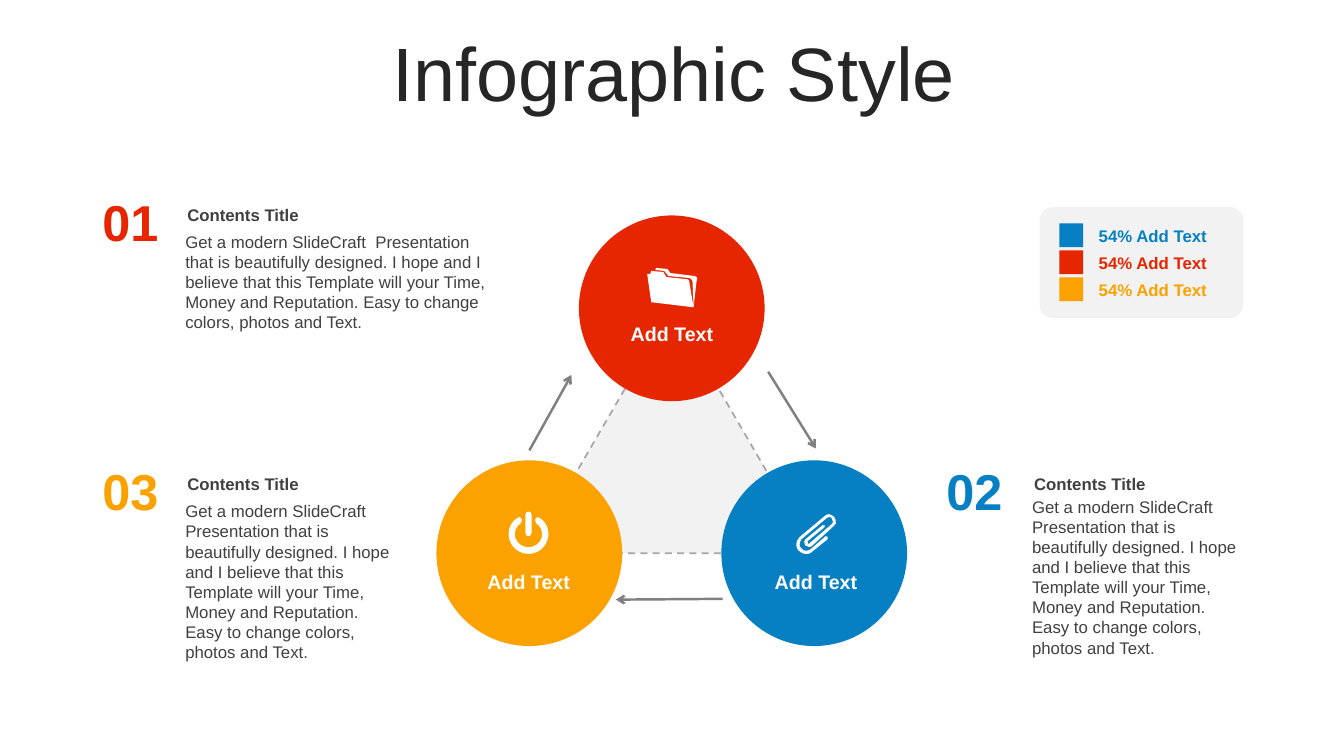
"""Build a slide with a three-part cycle, notes and a legend."""
from lxml.etree import Element, SubElement
from pptx import Presentation
from pptx.dml.color import RGBColor
from pptx.enum.dml import MSO_LINE_DASH_STYLE as Dash
from pptx.enum.shapes import MSO_CONNECTOR as Link, MSO_SHAPE as Kind
from pptx.enum.text import MSO_ANCHOR as Anchor, PP_ALIGN as Align
from pptx.oxml.ns import qn
from pptx.util import Cm, Pt

RED, BLUE, GOLD = "E62601", "0680C3", "FBA200"
WHITE, PALE, DARK = "FFFFFF", "F2F2F2", "404040"
TITLE = "Infographic Style"
HEAD = "Contents Title"
BODY = ("Get a modern SlideCraft  Presentation that is beautifully designed. "
        "I hope and I believe that this Template will your Time, Money and "
        "Reputation. Easy to change colors, photos and Text.")
LABEL = "Add Text"
SHARE = "54% Add Text"

# number, colour, number left, head left, head top, body drop, width, height
NOTES = [
    ("01", RED, 2.27, 4.42, 5.03, 0.68, 8.2, 2.82),
    ("03", GOLD, 2.27, 4.42, 11.81, 0.69, 5.79, 4.37),
    ("02", BLUE, 23.54, 25.76, 11.81, 0.57, 5.79, 4.37),
]
DISC = 4.68
# colour, centre x, centre y, label left, label top
DISCS = [
    (RED, 16.93, 7.77, 14.99, 7.98),
    (GOLD, 13.34, 13.94, 11.38, 14.23),
    (BLUE, 20.52, 13.94, 18.62, 14.23),
]
ARROWS = [
    (13.34, 11.35, 14.4, 9.45),
    (19.36, 9.37, 20.56, 11.3),
    (18.21, 15.09, 15.52, 15.11),
]
LEGEND = [BLUE, RED, GOLD]

UNIT = 0.0254
POWER = """M 9.5 -17 C 10 -17 10.5 -16.5 11 -16 C 18 -12 21.5 -3 19 5
C 16.5 14 8.5 19.5 0 19.5 C -8.5 19.5 -16.5 14 -19 5 C -21.5 -3 -18 -12 -11 -16
C -10.5 -16.5 -10 -17 -9.5 -17 C -8 -17 -6.5 -15.5 -6.5 -14
C -6.5 -13 -7 -12 -7.5 -11 C -12.5 -8 -14.5 -2 -13 4 C -11 9.5 -5.5 13 0 13
C 5.5 13 11 9.5 13 4 C 14.5 -2 12.5 -8 7.5 -11 C 7 -12 6.5 -13 6.5 -14
C 6.5 -15.5 8 -17 9.5 -17
M 0 -22.5 C 2 -22.5 3 -21 3 -19.5 L 3 -1 C 3 0.5 2 2 0 2
C -2 2 -3 0.5 -3 -1 L -3 -19.5 C -3 -21 -2 -22.5 0 -22.5"""
CLIP = """M 32 10 C 33 10 34 10 35 11 C 37 12 39 14 39 16 C 40 18 39 21 37 22
L 15 42 C 14 43 12 43 11 42 C 9 42 8 41 8 39 C 7 38 8 36 9 35 L 26 21
C 26 21 27 21 28 21 C 28 22 28 23 28 23 L 11 37 C 11 38 11 39 12 40
C 12 40 12 40 13 39 L 35 20 C 36 19 37 18 36 17 C 36 15 35 14 34 13
C 32 13 31 13 30 14 L 5 35 C 3 38 2 42 5 44 C 7 47 11 47 14 45 L 29 32
C 30 32 31 32 31 33 C 31 33 31 34 31 35 L 16 47 L 15 48
C 11 51 6 50 2 46 C -1 43 -1 37 3 33 L 28 12 C 29 11 31 10 32 10"""
FOLDER = """M 6 9 L 18 10 L 21 15 L 40 17 C 44 17 44 19 44 21 L 48 45
L 6 40 L 2 12 L 5 12 L 6 9
M 11 6 L 22 7 L 25 11 L 49 14 C 52 15 52 16 51 19 L 48 45 L 47 20
C 47 18 46 17 44 16 L 23 14 L 19 9 L 10 8 C 10 7 10 7 11 6"""
ICONS = [(POWER, 13.32, 13.46), (CLIP, 20.07, 12.7), (FOLDER, 16.26, 6.6)]


def tint(code):
    return RGBColor.from_string(code)


def paint(shape, fill, line=None):
    shape.shadow.inherit = False
    shape.fill.solid()
    shape.fill.fore_color.rgb = tint(fill)
    if line:
        shape.line.color.rgb = tint(line)
        shape.line.width = Pt(1.25)
        shape.line.dash_style = Dash.DASH
    else:
        shape.line.fill.background()


def block(kind, x, y, w, h, fill, line=None):
    shape = shapes.add_shape(kind, Cm(x), Cm(y), Cm(w), Cm(h))
    paint(shape, fill, line)
    return shape


def style(para, text, code, **form):
    para.text = text
    para.font.color.rgb = tint(code)
    for key, val in {"name": "Arial", **form}.items():
        setattr(para.font, key, val)


def write(text, x, y, w, h, code, size, bold=True, align=Align.LEFT, **form):
    frame = shapes.add_textbox(Cm(x), Cm(y), Cm(w), Cm(h)).text_frame
    for key, val in {"word_wrap": True, **form}.items():
        setattr(frame, key, val)
    para = frame.paragraphs[0]
    style(para, text, code, size=Pt(size), bold=bold)
    para.alignment = align


def trace(route):
    marks = route.replace("M", "|M").replace("L", "|L").replace("C", "|C")
    for mark in marks.split("|")[1:]:
        verb, *nums = mark.split()
        vals = [Cm(float(n) * UNIT) for n in nums]
        yield verb, list(zip(vals[::2], vals[1::2]))


def bend(line, verbs):
    steps = iter(list(line.iter(qn("a:lnTo"))))
    for verb in verbs:
        step = next(steps)
        if verb == "C":
            curve = Element(qn("a:cubicBezTo"))
            step.addprevious(curve)
            for part in (step, next(steps), next(steps)):
                curve.append(part[0])
                part.getparent().remove(part)


def icon(route, x, y):
    (_, start), *rest = trace(route)
    pen = shapes.build_freeform(*start[0], scale=1.0)
    for verb, pts in rest:
        if verb == "M":
            pen.move_to(*pts[0])
        else:
            pen.add_line_segments(pts, close=False)
    shape = pen.convert_to_shape(Cm(x), Cm(y))
    bend(shape._element, [verb for verb, _ in rest if verb != "M"])
    paint(shape, WHITE)


def arrow(*ends):
    line = shapes.add_connector(Link.STRAIGHT, *map(Cm, ends))
    line.line.color.rgb = tint("808080")
    line.line.width = Pt(1.75)
    SubElement(line.line._get_or_add_ln(), qn("a:tailEnd"), type="arrow")
    SubElement(line._element.spPr, qn("a:effectLst"))


deck = Presentation()
deck.slide_width, deck.slide_height = Cm(33.87), Cm(19.05)
slide = deck.slides.add_slide(deck.slide_layouts[5])
shapes = slide.shapes

title = shapes.title
for key, val in dict(left=0.9, top=0.94, width=32.16, height=2.01).items():
    setattr(title, key, Cm(val))
title.text_frame.vertical_anchor = Anchor.MIDDLE
para = title.text_frame.paragraphs[0]
style(para, TITLE, "262626", size=Pt(54))
para.alignment, para.line_spacing = Align.CENTER, 0.9

(_, _, top, *_), (_, left, base, *_), (_, right, *_) = DISCS
block(Kind.ISOSCELES_TRIANGLE, left, top, right - left, base - top, PALE, "A6A6A6")
for code, x, y, *_ in DISCS:
    block(Kind.OVAL, x - DISC / 2, y - DISC / 2, DISC, DISC, code)
for ends in ARROWS:
    arrow(*ends)
for *_, x, y in DISCS:
    write(LABEL, x, y, 3.89, 0.86, WHITE, 14, align=Align.CENTER)

panel = block(Kind.ROUNDED_RECTANGLE, 26.2, 5.22, 5.13, 2.79, PALE)
panel.adjustments[0] = 0.12
for i, code in enumerate(LEGEND):
    y = 5.63 + 0.68 * i
    block(Kind.RECTANGLE, 26.7, y, 0.6, 0.6, code)
    write(SHARE, 27.44, y - 0.07, 3.38, 0.76, code, 12, vertical_anchor=Anchor.MIDDLE)

for num, code, x, left, y, drop, w, h in NOTES:
    write(num, x, y - 0.35, 2.03, 1.8, code, 36, align=Align.CENTER)
    write(BODY, left, y + drop, w, h, DARK, 12, bold=False)
    write(HEAD, left, y, w, 0.76, DARK, 12, margin_left=Cm(0.3), margin_right=Cm(0.3))
for route, x, y in ICONS:
    icon(route, x, y)

deck.save("out.pptx")
